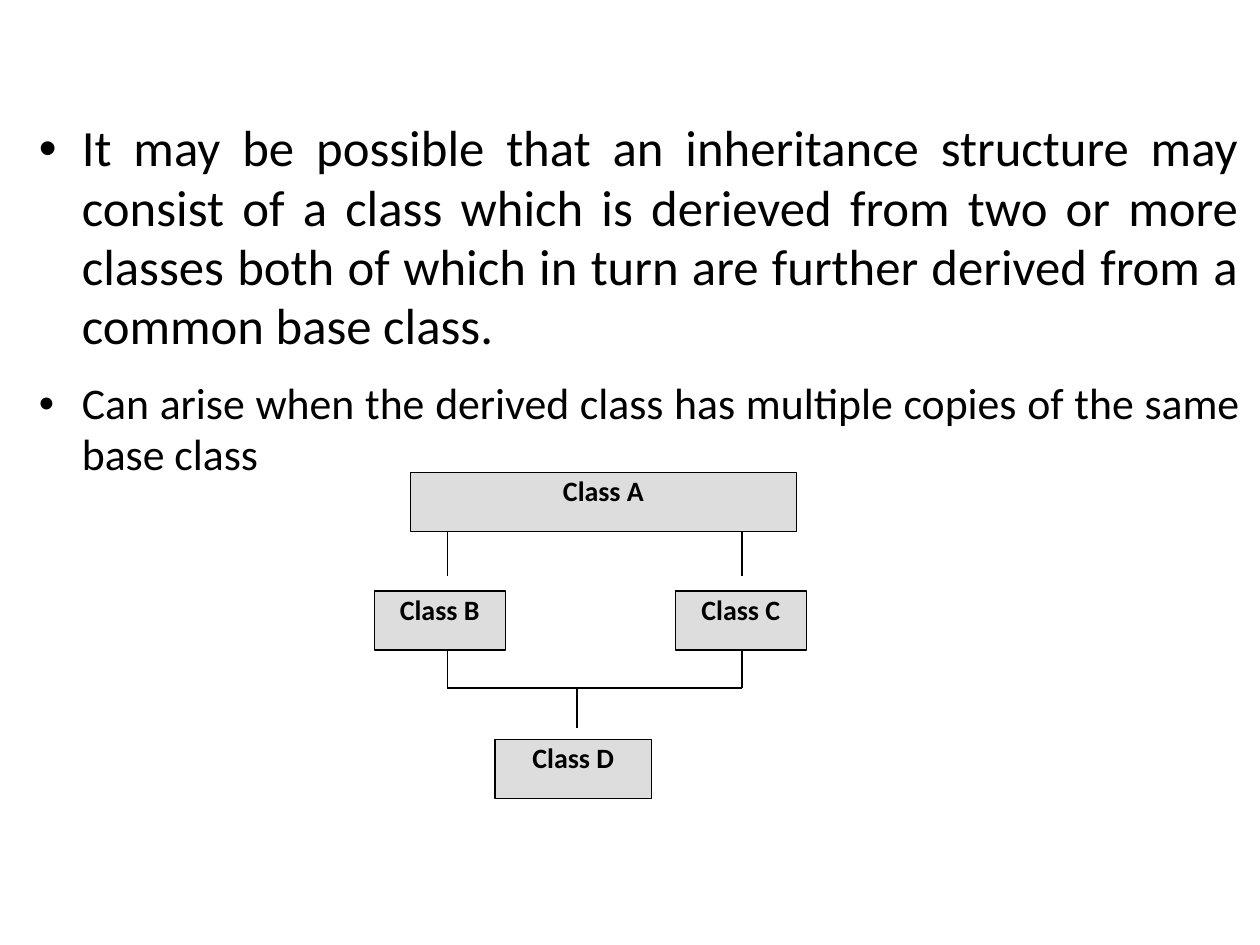
import pptx
import pptx.util
import pptx.dml.color
import pptx.enum.shapes
import pptx.enum.text
import pptx.oxml.ns
import lxml.etree

Inches = pptx.util.Inches
Pt = pptx.util.Pt
Align = pptx.enum.text.PP_ALIGN
Kind = pptx.enum.shapes

POINTS = [
    ("It may be possible that an inheritance structure may consist of a class "
     "which is derieved from two or more classes both of which in turn are "
     "further derived from a common base class.", 29, 0),
    ("Can arise when the derived class has multiple copies of the same base class", 25, 1),
]
TALL = 0.47
BOXES = [
    ("Class A", 3.26, 3.75, 3.06),
    ("Class B", 2.97, 4.69, 1.04),
    ("Class C", 5.36, 4.69, 1.04),
    ("Class D", 3.93, 5.87, 1.24),
]
LEFT, RIGHT, MID = 3.55, 5.89, 4.58
TOP, LOW, JOIN = 4.22, 5.15, 5.46
LINES = [
    (LEFT, TOP, LEFT, 4.57),
    (RIGHT, TOP, RIGHT, 4.57),
    (LEFT, LOW, LEFT, JOIN),
    (RIGHT, LOW, RIGHT, JOIN),
    (LEFT, JOIN, RIGHT, JOIN),
    (MID, JOIN, MID, 5.78),
]
INK, GREY = "000000", "DDDDDD"
FACE = {"name": "Calibri"}
BODY = {"alignment": Align.JUSTIFY, "line_spacing": 0.97, "space_after": Pt(12.9)}


def apply(obj, vals):
    for key, val in vals.items():
        setattr(obj, key, val)


def tint(fmt, code):
    fmt.rgb = pptx.dml.color.RGBColor.from_string(code)


def add(node, tag, **vals):
    return lxml.etree.SubElement(node, pptx.oxml.ns.qn(tag), **vals)


def frame(shape, *pads):
    text = shape.text_frame
    sides = ("left", "top", "right", "bottom")
    apply(text, {f"margin_{side}": Inches(pad) for side, pad in zip(sides, pads)})
    apply(text, {"word_wrap": True, "vertical_anchor": pptx.enum.text.MSO_ANCHOR.TOP})
    return text


def write(para, words, size, bold=False):
    run = para.add_run()
    run.text = words
    apply(run.font, {**FACE, "size": Pt(size), "bold": bold})
    tint(run.font.color, INK)


def stroke(shape):
    shape.line.width = Pt(0.75)
    tint(shape.line.color, INK)


def bullet(para):
    props = para._p.get_or_add_pPr()
    props.set("marL", str(Inches(0.34)))
    props.set("indent", str(-Inches(0.34)))
    add(add(props, "a:buClr"), "a:srgbClr", val=INK)
    add(props, "a:buFont", typeface="Arial")
    add(props, "a:buChar", char="•")


def main():
    deck = pptx.Presentation()
    apply(deck, {"slide_width": Inches(10), "slide_height": Inches(7.5)})
    shapes = deck.slides.add_slide(deck.slide_layouts[6]).shapes

    area = map(Inches, (0.31, 0.78, 9.53, 6.41))
    text = frame(shapes.add_textbox(*area), 0, 0.17, 0, 0)
    for rank, (words, size, level) in enumerate(POINTS):
        para = text.add_paragraph() if rank else text.paragraphs[0]
        bullet(para)
        apply(para, {**BODY, "level": level})
        write(para, words, size)

    for ends in LINES:
        line = shapes.add_connector(Kind.MSO_CONNECTOR.STRAIGHT, *map(Inches, ends))
        stroke(line)
        add(line._element.spPr, "a:effectLst")

    for name, x, y, wide in BOXES:
        area = map(Inches, (x, y, wide, TALL))
        box = shapes.add_shape(Kind.MSO_SHAPE.RECTANGLE, *area)
        box.shadow.inherit = False
        box.fill.solid()
        tint(box.fill.fore_color, GREY)
        stroke(box)
        para = frame(box, *[0.01] * 4).paragraphs[0]
        para.alignment = Align.CENTER
        write(para, name, 16, True)

    deck.save("out.pptx")


if __name__ == "__main__":
    main()
